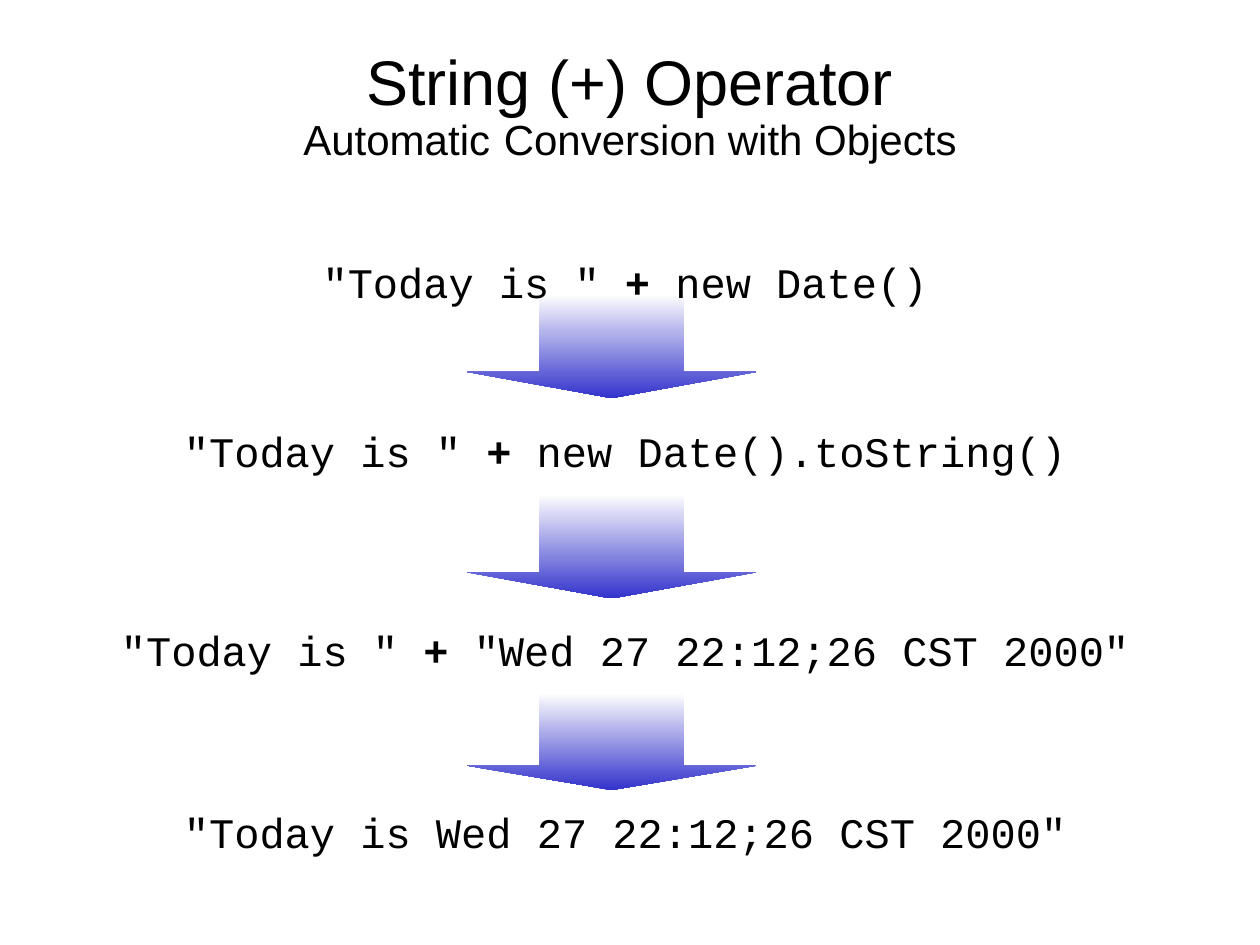
from dataclasses import dataclass

import pptx
from lxml import etree
from pptx.dml.color import RGBColor
from pptx.enum.shapes import MSO_SHAPE
from pptx.enum.text import MSO_ANCHOR, MSO_AUTO_SIZE, PP_ALIGN
from pptx.oxml.ns import qn
from pptx.util import Inches, Pt


@dataclass(frozen=True)
class Theme:
    text: RGBColor = RGBColor(0, 0, 0)
    fade_start: RGBColor = RGBColor(0xFF, 0xFF, 0xFF)
    fade_end: RGBColor = RGBColor(0x33, 0x33, 0xCC)
    title_font: str = "Arial"
    code_font: str = "Courier New"
    title_size: int = 36
    gap_size: int = 28
    body_size: int = 24


THEME = Theme()

# Each step: top of its box, then the code before, at and after the operator
STEPS = [
    (1.83, ['"Today is "', " + ", "new Date()"]),
    (3.17, ['"Today is "', " + ", "new Date().toString()"]),
    (4.75, ['"Today is " ', "+", ' "Wed 27 22:12;26 CST 2000"']),
    (6.19, ['"Today is Wed 27 22:12;26 CST 2000"']),
]
ARROWS = [(2.33, 0.83), (3.92, 0.83), (5.5, 0.77)]  # top, height


def add_run(p, text, font, size, bold=False):
    r = p.add_run()
    r.text = text
    r.font.name = font
    r.font.size = Pt(size)
    r.font.bold = bold
    r.font.color.rgb = THEME.text


def set_title(s, heading, subtitle):
    """Fill the title; subtitle is a list of (text, size)."""
    sp = s.shapes.title
    sp.left, sp.top = Inches(0.75), Inches(0.42)
    sp.width, sp.height = Inches(8.5), Inches(0.92)
    tf = sp.text_frame
    tf.auto_size = MSO_AUTO_SIZE.NONE
    tf.vertical_anchor = MSO_ANCHOR.MIDDLE
    p = tf.paragraphs[0]
    p.alignment = PP_ALIGN.CENTER
    p.line_spacing = 0.8
    add_run(p, heading, THEME.title_font, THEME.title_size)
    p.add_line_break()
    # The break would otherwise keep the layout's larger type size
    br = p._p.find(qn("a:br"))
    etree.SubElement(br, qn("a:rPr"), sz=str(THEME.title_size * 100))
    for text, size in subtitle:
        add_run(p, text, THEME.title_font, size)


def add_code(s, top, parts):
    """Add a centred line of code whose second part, the operator, is bold."""
    sp = s.shapes.add_textbox(Inches(0.25), Inches(top), Inches(9.42), Inches(0.67))
    tf = sp.text_frame
    tf.word_wrap = True
    tf.margin_top = Inches(0.13)
    p = tf.paragraphs[0]
    p.alignment = PP_ALIGN.CENTER
    p.line_spacing = 1.2
    for i, text in enumerate(parts):
        add_run(p, text, THEME.code_font, THEME.body_size, bold=i == 1)


def add_arrow(s, top, height):
    sp = s.shapes.add_shape(MSO_SHAPE.DOWN_ARROW, Inches(3.71), Inches(top),
                            Inches(2.29), Inches(height))
    sp.adjustments[0] = 0.5
    sp.adjustments[1] = 0.25
    sp.shadow.inherit = False
    sp.line.fill.background()
    sp.fill.gradient()
    sp.fill.gradient_angle = 270  # counter-clockwise, so top to bottom
    for stop, color in zip(sp.fill.gradient_stops, (THEME.fade_start, THEME.fade_end)):
        stop.color.rgb = color


def main():
    prs = pptx.Presentation()
    prs.slide_width, prs.slide_height = Inches(10), Inches(7.5)
    s = prs.slides.add_slide(prs.slide_layouts[5])
    set_title(s, "String (+) Operator", [
        ("Automatic", THEME.body_size),
        (" ", THEME.gap_size),
        ("Conversion with Objects", THEME.body_size),
    ])
    for top, height in ARROWS:
        add_arrow(s, top, height)
    for top, parts in STEPS:
        add_code(s, top, parts)
    prs.save("out.pptx")


if __name__ == "__main__":
    main()
